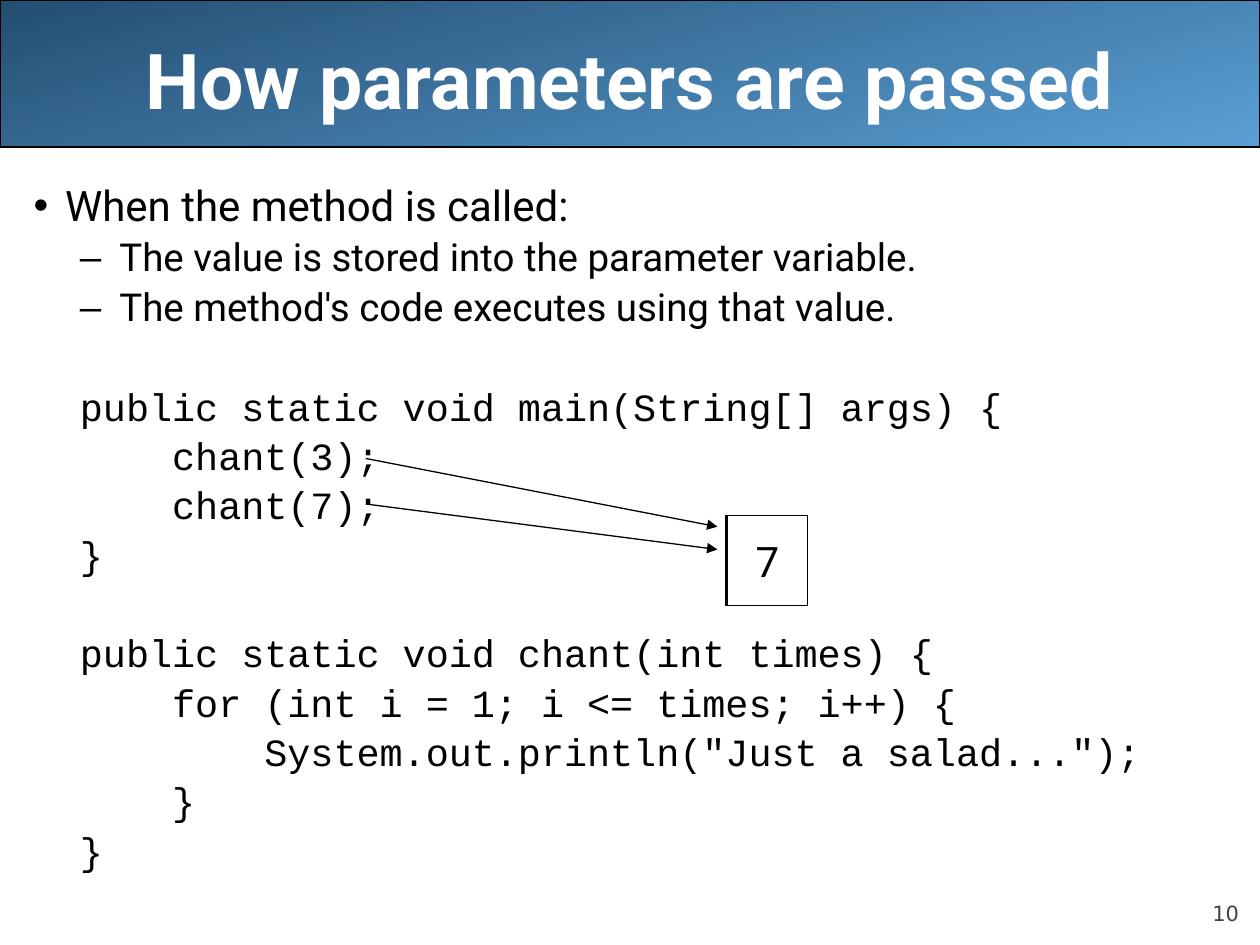
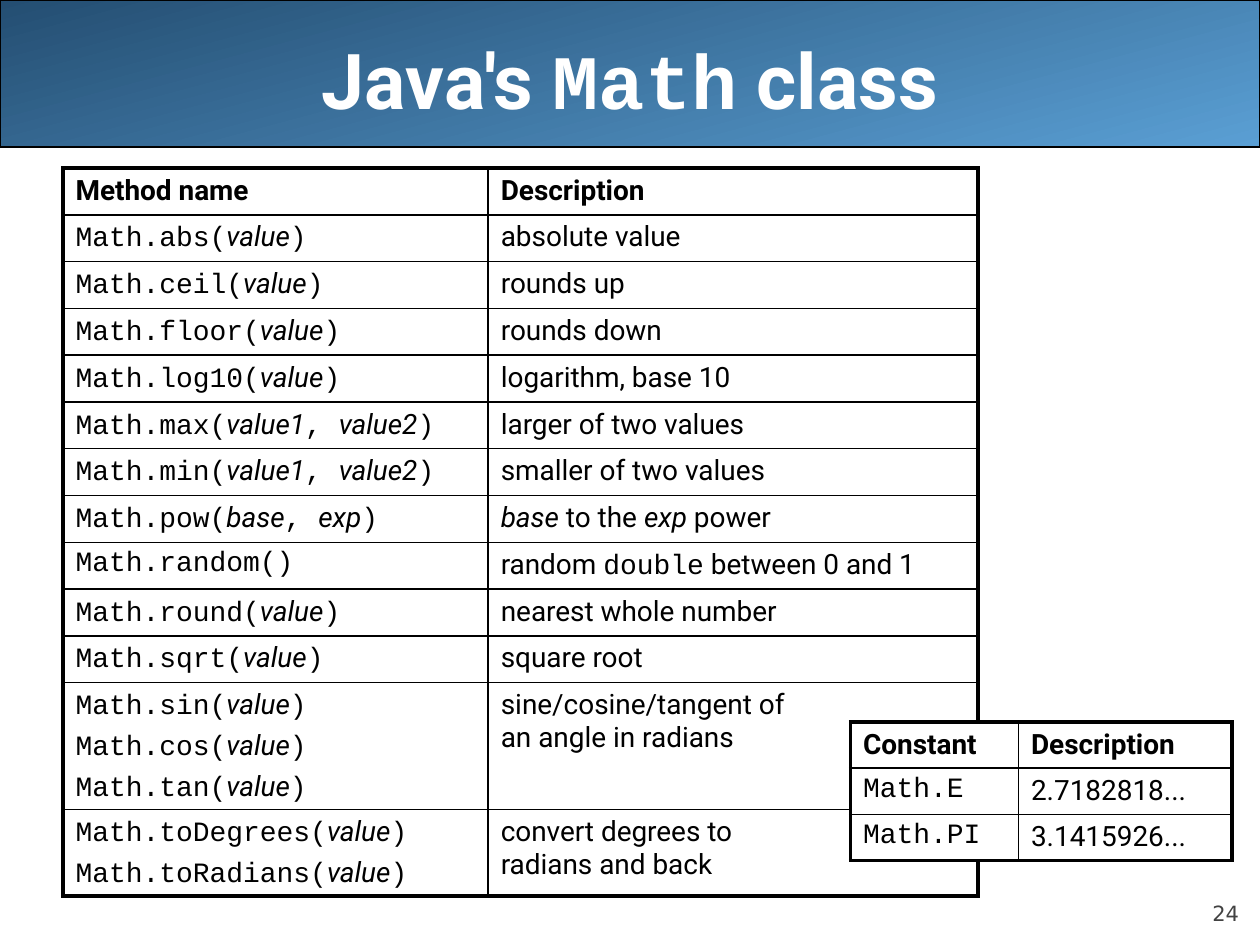
from lxml.etree import SubElement
from pptx import Presentation
from pptx.dml.color import RGBColor
from pptx.enum.shapes import MSO_CONNECTOR, MSO_SHAPE
from pptx.enum.text import MSO_ANCHOR, MSO_AUTO_SIZE, PP_ALIGN
from pptx.oxml.ns import qn
from pptx.util import Pt

TITLE_AND_BODY, TITLE_ONLY = 1, 5

MAIN_CODE = """\
public static void main(String[] args) {
    chant(3);
    chant(7);
}"""

CHANT_CODE = """\
public static void chant(int times) {
    for (int i = 1; i <= times; i++) {
        System.out.println("Just a salad...");
    }
}"""


def color(hex_string):
    return RGBColor.from_string(hex_string)


def place(shape, left, top, width, height):
    shape.left, shape.top = Pt(left), Pt(top)
    shape.width, shape.height = Pt(width), Pt(height)


def call(name, *arguments):
    """Marked-up method call: code in backticks, arguments in italics."""
    return f"`Math.{name}(`" + "`, `".join(f"*{a}*" for a in arguments) + "`)`"


class Deck:
    BODY_FONT, CODE_FONT, NUMBER_FONT = "Roboto", "Courier New", "DejaVu Sans"
    BLACK, WHITE, GRAY = "000000", "FFFFFF", "424242"
    BAND_COLORS = ("244E72", "5A9FD4")
    THIN, INNER, OUTER = 0.75, 1, 2.25

    def __init__(self):
        self.presentation = Presentation()
        self.presentation.slide_width = Pt(720)
        self.presentation.slide_height = Pt(540)
        self.slide = None

    # Text
    def add_runs(self, paragraph, text, size, hex_color=BLACK, bold=False):
        """Add runs; `code` is monospaced, *words* are italic, \\v breaks the line."""
        for line_index, line in enumerate(text.split("\v")):
            if line_index:
                paragraph.add_line_break()
                SubElement(paragraph._p[-1], qn("a:rPr"), sz=str(size * 100))
            for code_index, chunk in enumerate(line.split("`")):
                for italic_index, piece in enumerate(chunk.split("*")):
                    if not piece:
                        continue
                    run = paragraph.add_run()
                    run.text = piece
                    font = run.font
                    font.name = self.CODE_FONT if code_index % 2 else self.BODY_FONT
                    font.size, font.bold = Pt(size), bold
                    font.italic = italic_index % 2 == 1
                    font.color.rgb = color(hex_color)

    # Slide with title, band and number
    def add_slide(self, layout, title, number):
        self.slide = self.presentation.slides.add_slide(
            self.presentation.slide_layouts[layout])
        self.add_band()
        shape = self.slide.shapes.title
        place(shape, 36, 0, 648, 90)
        shape.text_frame.vertical_anchor = MSO_ANCHOR.MIDDLE
        shape.text_frame.auto_size = MSO_AUTO_SIZE.NONE
        paragraph = shape.text_frame.paragraphs[0]
        paragraph.alignment = PP_ALIGN.CENTER
        self.add_runs(paragraph, title, 44, self.WHITE, bold=True)
        self.add_number(number)

    def add_band(self):
        band = self.slide.shapes.add_shape(
            MSO_SHAPE.ROUNDED_RECTANGLE, 0, 0, Pt(720), Pt(84))
        band.adjustments[0] = 0
        band.shadow.inherit = False
        band.fill.gradient()
        band.fill.gradient_angle = 285
        for stop, position, hex_color in zip(
                band.fill.gradient_stops, (0, 1), self.BAND_COLORS):
            stop.position, stop.color.rgb = position, color(hex_color)
        self.outline(band)
        self.slide.shapes.element.insert(2, band.element)  # behind the title

    def add_number(self, number):
        box = self.slide.shapes.add_textbox(Pt(648), Pt(500.4), Pt(60), Pt(28.8))
        frame = box.text_frame
        frame.word_wrap = True
        frame.vertical_anchor = MSO_ANCHOR.BOTTOM
        frame.margin_left = frame.margin_right = 0
        frame.margin_top = frame.margin_bottom = 0
        frame.text = str(number)
        paragraph = frame.paragraphs[0]
        paragraph.alignment = PP_ALIGN.RIGHT
        font = paragraph.runs[0].font
        font.name, font.size = self.NUMBER_FONT, Pt(12)
        font.color.rgb = color(self.GRAY)

    def outline(self, shape):
        shape.line.color.rgb = color(self.BLACK)
        shape.line.width = Pt(self.THIN)

    # Body list and code
    def start_body(self, left, top, width, height):
        body = self.slide.placeholders[1]
        place(body, left, top, width, height)
        body.text_frame.auto_size = MSO_AUTO_SIZE.NONE
        return body.text_frame

    def add_line(self, frame, text, size, level=0, bullet=None,
                 spacing=0.9, space_before=0):
        paragraph = frame.paragraphs[0]
        if paragraph.runs:
            paragraph = frame.add_paragraph()
        margin, indent = ((18, -18), (49, -22.5))[level]
        properties = paragraph._p.get_or_add_pPr()
        properties.set("marL", str(Pt(margin)))
        properties.set("indent", str(Pt(indent)))
        if bullet:
            SubElement(properties, qn("a:buChar"), char=bullet)
        else:
            SubElement(properties, qn("a:buNone"))
        paragraph.level = level
        paragraph.line_spacing = spacing
        paragraph.space_before = Pt(space_before)
        self.add_runs(paragraph, text, size)

    def add_code(self, frame, code):
        line_height, gap = 23.8, 4.4
        for index, line in enumerate(code.splitlines()):
            space = gap if index else 2 * gap + line_height
            self.add_line(frame, f"`{line}`", 22, 1,
                          spacing=Pt(line_height), space_before=space)

    # Drawing
    def add_value_box(self, left, top, width, height, text=""):
        box = self.slide.shapes.add_shape(
            MSO_SHAPE.RECTANGLE, Pt(left), Pt(top), Pt(width), Pt(height))
        box.shadow.inherit = False
        box.fill.solid()
        box.fill.fore_color.rgb = color(self.WHITE)
        self.outline(box)
        box.text_frame.vertical_anchor = MSO_ANCHOR.MIDDLE
        paragraph = box.text_frame.paragraphs[0]
        paragraph.alignment = PP_ALIGN.CENTER
        self.add_runs(paragraph, text, 24)

    def add_arrow(self, start, end):
        arrow = self.slide.shapes.add_connector(
            MSO_CONNECTOR.STRAIGHT, *map(Pt, start + end))
        self.outline(arrow)
        properties = arrow.element.spPr
        SubElement(properties.find(qn("a:ln")), qn("a:tailEnd"), type="triangle")
        SubElement(properties, qn("a:effectLst"))

    # Tables
    def add_table(self, left, top, widths, heights, rows):
        table = self.slide.shapes.add_table(
            len(rows), len(widths), Pt(left), Pt(top),
            Pt(sum(widths)), Pt(sum(heights))).table
        table.first_row = table.horz_banding = False
        for column, width in zip(table.columns, widths):
            column.width = Pt(width)
        last_row, last_column = len(rows) - 1, len(widths) - 1
        for row_index, texts in enumerate(rows):
            table.rows[row_index].height = Pt(heights[row_index])
            for column_index, text in enumerate(texts):
                cell = table.cell(row_index, column_index)
                self.add_borders(cell, {
                    "L": column_index == 0, "R": column_index == last_column,
                    "T": row_index == 0, "B": row_index == last_row})
                cell.fill.solid()
                cell.fill.fore_color.rgb = color(self.WHITE)
                for index, line in enumerate(text.split("\n")):
                    frame = cell.text_frame
                    paragraph = frame.add_paragraph() if index else frame.paragraphs[0]
                    if index:
                        paragraph.space_before = Pt(3.8)
                    self.add_runs(paragraph, line, 16, bold=row_index == 0)

    def add_borders(self, cell, outer_sides):
        properties = cell._tc.get_or_add_tcPr()
        for side, is_outer in outer_sides.items():
            width = Pt(self.OUTER if is_outer else self.INNER)
            line = SubElement(properties, qn(f"a:ln{side}"), w=str(width))
            fill = SubElement(line, qn("a:solidFill"))
            SubElement(fill, qn("a:srgbClr"), val=self.BLACK)


def add_parameters_slide(deck):
    deck.add_slide(TITLE_AND_BODY, "How parameters are passed", 10)
    frame = deck.start_body(12, 102, 708, 408)
    deck.add_line(frame, "When the method is called:", 24, bullet="•")
    for text in ("The value is stored into the parameter variable.",
                 "The method's code executes using that value."):
        deck.add_line(frame, text, 22, 1, "–", space_before=4.8)
    for code in (MAIN_CODE, CHANT_CODE):
        deck.add_code(frame, code)

    # Both calls pass their value to the parameter box
    deck.add_arrow((209, 262), (410, 301))
    deck.add_value_box(414.7, 294.5, 46, 51.5)
    deck.add_value_box(415.5, 294.5, 46, 51.5, "7")
    deck.add_arrow((209, 288), (410, 314))


def add_math_slide(deck):
    deck.add_slide(TITLE_ONLY, "Java's `Math` class", 24)
    methods = [
        ("Method name", "Description"),
        (call("abs", "value"), "absolute value"),
        (call("ceil", "value"), "rounds up"),
        (call("floor", "value"), "rounds down"),
        (call("log10", "value"), "logarithm, base 10"),
        (call("max", "value1", "value2"), "larger of two values"),
        (call("min", "value1", "value2"), "smaller of two values"),
        (call("pow", "base", "exp"), "*base* to the *exp* power"),
        ("`Math.random()`", "random `double` between 0 and 1"),
        (call("round", "value"), "nearest whole number"),
        (call("sqrt", "value"), "square root"),
        ("\n".join(call(name, "value") for name in ("sin", "cos", "tan")),
         "sine/cosine/tangent of\van angle in radians"),
        ("\n".join(call(name, "value") for name in ("toDegrees", "toRadians")),
         "convert degrees to\vradians and back"),
    ]
    deck.add_table(36, 96, (243, 280), [26.75] * 11 + [72.5, 49.5], methods)

    constants = [
        ("Constant", "Description"),
        ("`Math.E`", "2.7182818..."),
        ("`Math.PI`", "3.1415926..."),
    ]
    deck.add_table(486, 412.5, (96, 122), [26.4] * 3, constants)


def main():
    deck = Deck()
    add_parameters_slide(deck)
    add_math_slide(deck)
    deck.presentation.save("out.pptx")


if __name__ == "__main__":
    main()
